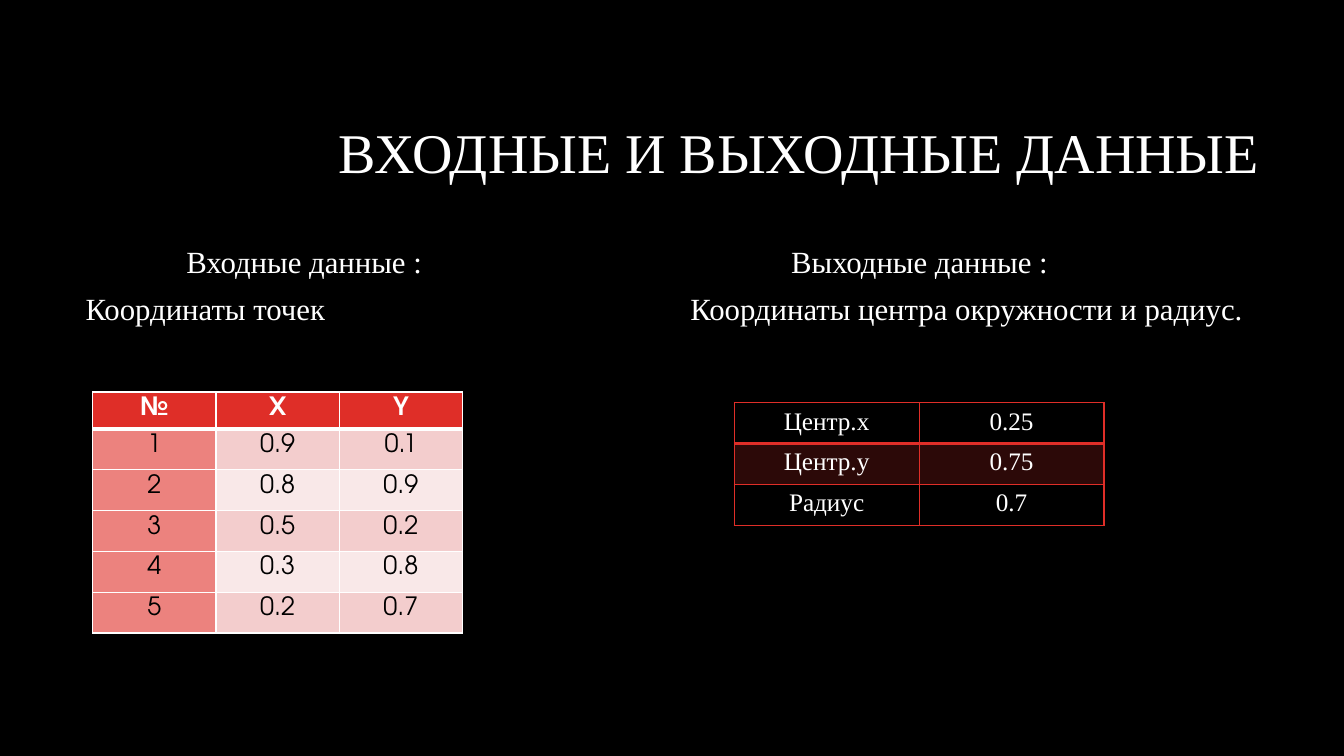
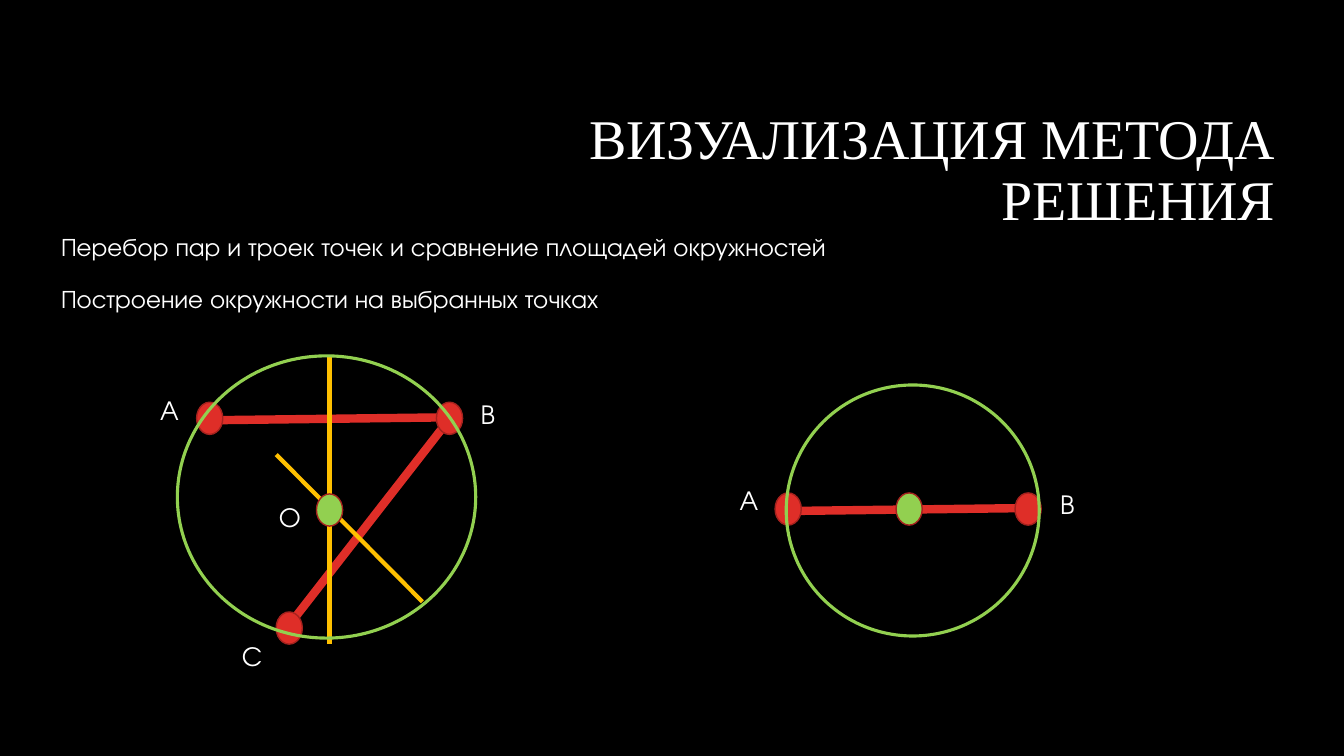
"""Build two slides on finding the smallest circle around given points."""
from dataclasses import dataclass

from lxml import etree
from pptx import Presentation
from pptx import util as u
from pptx.dml.color import RGBColor as Rgb
from pptx.enum import shapes, text
from pptx.oxml.ns import qn


@dataclass(frozen=True)
class Theme:
    back: str = "000000"
    ink: str = "FFFFFF"
    red: str = "DF2E28"
    edge: str = "A5221E"
    green: str = "92D050"
    gold: str = "FFC000"
    rose: str = "EC827E"
    pink: str = "F3CDCD"
    pale: str = "F9E8E8"
    serif: str = "Times New Roman"
    sans: str = "TeX Gyre Adventor"
    title: int = 40
    body: int = 22
    small: int = 18


look = Theme()
Pt = u.Pt
Align = text.PP_ALIGN


def write(page, box, lines, face, size, align=Align.LEFT, tight=False, gap=0, grow=False, mid=False):
    """Add a text box; each line is (words, left margin, first-line indent)."""
    frame = page.shapes.add_textbox(*map(Pt, box)).text_frame
    frame.word_wrap = True
    if grow:
        frame.auto_size = text.MSO_AUTO_SIZE.SHAPE_TO_FIT_TEXT
    if mid:
        frame.vertical_anchor = text.MSO_ANCHOR.MIDDLE
    for i, (words, left, first) in enumerate(lines):
        para = frame.add_paragraph() if i else frame.paragraphs[0]
        para.text = words
        para.alignment = align
        if tight:
            para.line_spacing = 0.9
        if gap:
            para.space_before = Pt(gap)
        props = para._p.get_or_add_pPr()
        props.set("marL", str(Pt(left)))
        props.set("indent", str(Pt(first)))
        para.font.name, para.font.size = face, Pt(size)
        para.font.color.rgb = Rgb.from_string(look.ink)


def grid(page, spot, rows, width, tall, face, fills, rule, thick, head):
    """Add a table; fills holds one (colour, alpha) pair or None per cell."""
    size = width * len(rows[0]), sum(tall)
    table = page.shapes.add_table(len(rows), len(rows[0]), *map(Pt, spot + size)).table
    table.first_row, table.horz_banding = head, False
    for col in table.columns:
        col.width = Pt(width)
    for r, row in enumerate(rows):
        table.rows[r].height = Pt(tall[r])
        for c, words in enumerate(row):
            cell = table.cell(r, c)
            cell.text = words
            cell.margin_top, cell.margin_bottom = Pt(3.6), 0
            para = cell.text_frame.paragraphs[0]
            para.alignment = Align.CENTER
            para.font.name, para.font.size = face, Pt(look.small)
            para.font.bold = head and r == 0
            tint = look.back if head and r else look.ink
            para.font.color.rgb = Rgb.from_string(tint)
            props = cell._tc.get_or_add_tcPr()
            if fills[r][c]:
                shade, alpha = fills[r][c]
                cell.fill.solid()
                cell.fill.fore_color.rgb = Rgb.from_string(shade)
                if alpha < 100:
                    clr = props.find(".//" + qn("a:srgbClr"))
                    etree.SubElement(clr, qn("a:alpha"), val=str(alpha * 1000))
            else:
                cell.fill.background()
            for i, side in enumerate("LRTB"):
                heavy = (r, side) in ((0, "B"), (1, "T"))
                wide = Pt(thick if heavy else 1)
                line = etree.Element(qn("a:ln" + side), w=str(wide))
                paint = etree.SubElement(line, qn("a:solidFill"))
                etree.SubElement(paint, qn("a:srgbClr"), val=rule)
                props.insert(i, line)


deck = Presentation()
deck.slide_width, deck.slide_height = Pt(960), Pt(540)
ground = deck.slide_master.background.fill
ground.solid()
ground.fore_color.rgb = Rgb.from_string(look.back)

pages = []
for words, left, top in (
    ("ВХОДНЫЕ И ВЫХОДНЫЕ ДАННЫЕ", 228.2, 60.5),
    ("ВИЗУАЛИЗАЦИЯ МЕТОДА РЕШЕНИЯ", 239.8, 72),
):
    page = deck.slides.add_slide(deck.slide_layouts[6])
    write(page, (left, top, 678.2, 101.5), [(words, 36, -36)], look.serif, look.title,
          Align.RIGHT, tight=True, mid=True)
    pages.append(page)
data, plan = pages

for left, head, note in (
    (54, "Входные данные :", "Координаты точек"),
    (486, "Выходные данные :", "Координаты центра окружности и радиус."),
):
    write(data, (left, 172.8, 420, 316.8), [(head, 0, 72), (note, 0, 0)],
          look.serif, look.body, tight=True, gap=10)

dots = [("№", "X", "Y"), ("1", "0.9", "0.1"), ("2", "0.8", "0.9"),
        ("3", "0.5", "0.2"), ("4", "0.3", "0.8"), ("5", "0.2", "0.7")]
fills = [[(look.red, 100)] * 3]
for r in range(1, len(dots)):
    band = look.pink if r % 2 else look.pale
    fills.append([(look.rose, 100), (band, 100), (band, 100)])
grid(data, (66.2, 280), dots, 88.1, [26.2] + [29.2] * 5, look.sans, fills,
     look.ink, 3, True)

found = [("Центр.x", "0.25"), ("Центр.y", "0.75"), ("Радиус", "0.7")]
fills = [[None] * 2, [(look.red, 20)] * 2, [None] * 2]
grid(data, (524.4, 287.5), found, 132.1, [29.2] * 3, look.serif, fills,
     look.red, 2, False)

for top, words in (
    (162, "Перебор пар и троек точек и сравнение площадей окружностей"),
    (198.7, "Построение окружности на выбранных точках"),
):
    write(plan, (26.6, top, 707.8, 28.8), [(words, 10, 0)], look.sans, look.small, grow=True)

chords = [(149.8, 300.2, 320.4, 298.1), (206.6, 446.4, 320.4, 300.2),
          (563.8, 365, 734.4, 362.9)]
axes = [(235.4, 254.9, 235.4, 460.1), (197.3, 324.7, 301.7, 429.8)]
ends = [(321.1, 298.8), (206.6, 448.6), (149.8, 298.8), (734.4, 363.6), (563, 363.6)]
cores = [(235.4, 364.3), (649.4, 363.6)]
rings = [(126.7, 254.2, 213.1, 201.6), (561.6, 275, 180.7, 179.3)]
wide, high = 18.7, 23

for lines, spots, fill, tint, thick in (
    (chords, ends, look.red, look.red, 6),
    (axes, cores, look.green, look.gold, 3),
):
    for line in lines:
        link = plan.shapes.add_connector(shapes.MSO_CONNECTOR.STRAIGHT, *map(Pt, line))
        link.line.color.rgb = Rgb.from_string(tint)
        link.line.width = Pt(thick)
        etree.SubElement(link._element.spPr, qn("a:effectLst"))
    for x, y in spots:
        box = x - wide / 2, y - high / 2, wide, high
        dot = plan.shapes.add_shape(shapes.MSO_SHAPE.OVAL, *map(Pt, box))
        dot.shadow.inherit = False
        dot.fill.solid()
        dot.fill.fore_color.rgb = Rgb.from_string(fill)
        dot.line.color.rgb = Rgb.from_string(look.edge)
        dot.line.width = Pt(1)

for name, left, top in (
    ("A", 107.3, 278.6), ("B", 336.2, 281.5), ("C", 165.6, 454.3),
    ("O", 192.2, 355), ("A", 521.3, 343.4), ("B", 750.2, 346.3),
):
    write(plan, (left, top, 34.6, 28.8), [(name, 0, 0)], look.sans, look.small, grow=True)

for box in rings:
    ring = plan.shapes.add_shape(shapes.MSO_SHAPE.OVAL, *map(Pt, box))
    ring.shadow.inherit = False
    ring.fill.background()
    ring.line.color.rgb = Rgb.from_string(look.green)
    ring.line.width = Pt(2.25)

deck.save("out.pptx")
